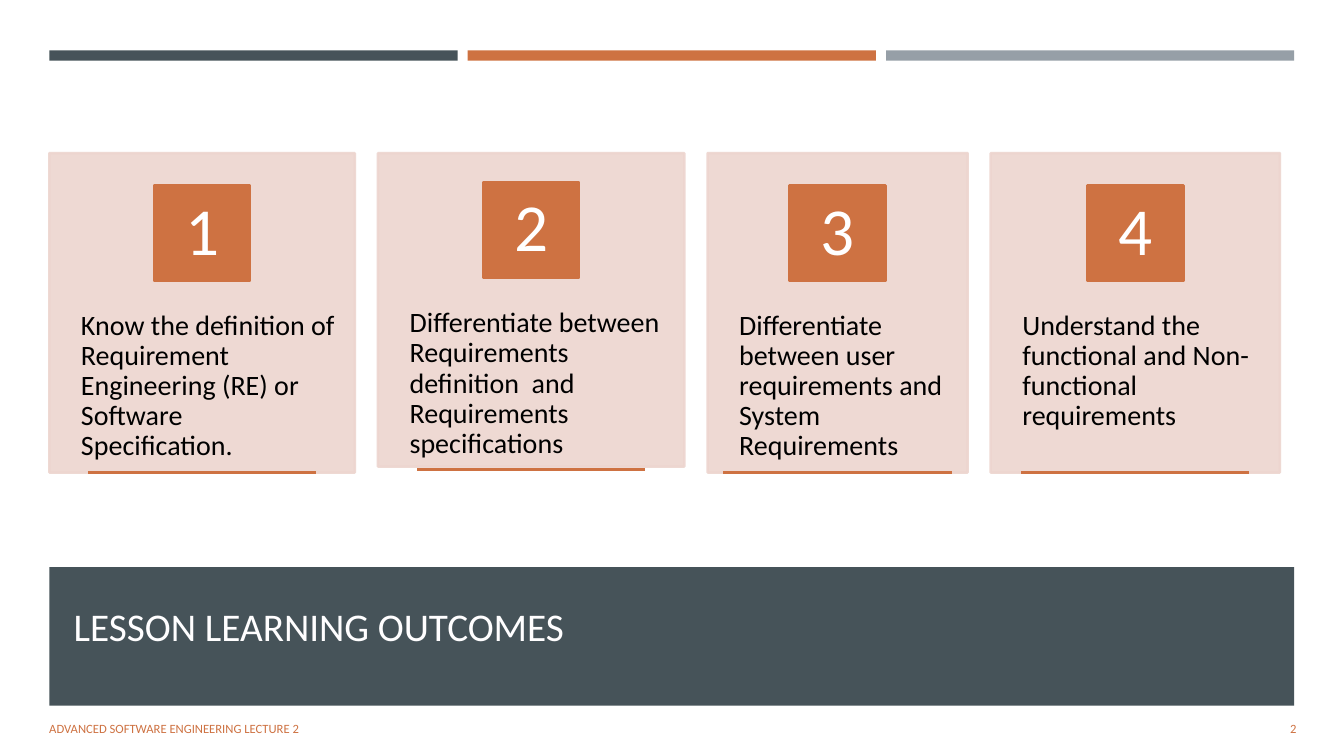
from lxml.etree import SubElement
from pptx import Presentation
from pptx.dml.color import RGBColor
from pptx.enum.shapes import MSO_CONNECTOR, MSO_SHAPE
from pptx.enum.text import MSO_ANCHOR, PP_ALIGN
from pptx.oxml.ns import qn
from pptx.util import Pt

SLATE = RGBColor(0x46, 0x53, 0x59)
ORANGE = RGBColor(0xCE, 0x72, 0x42)
GREY = RGBColor(0x96, 0x9F, 0xA7)
BLUSH = RGBColor(0xED, 0xD5, 0xCF)
OFF_WHITE = RGBColor(0xFF, 0xFE, 0xFF)
WHITE = RGBColor(0xFF, 0xFF, 0xFF)
BLACK = RGBColor(0, 0, 0)

FONT = "Calibri"
LEFT, WIDTH = 35.3, 889.2
CARD_GAP = 16.5
OUTLINE = 1.75

# Text, card width, card height, distance from card top to number badge
OUTCOMES = [
    ("Know the definition of Requirement Engineering (RE) or Software Specification.",
     218.2, 228.2, 23),
    ("Differentiate between Requirements definition  and Requirements specifications",
     218.9, 223.9, 20.6),
    ("Differentiate between user requirements and System Requirements",
     185.8, 228.2, 23),
    ("Understand the functional and Non-functional requirements",
     206.6, 228.2, 23),
]


def add_block(slide, left, top, width, height, color, outlined=False):
    block = slide.shapes.add_shape(MSO_SHAPE.RECTANGLE, Pt(left), Pt(top), Pt(width), Pt(height))
    block.shadow.inherit = False
    block.fill.solid()
    block.fill.fore_color.rgb = color
    if outlined:
        block.line.color.rgb = color
        block.line.width = Pt(OUTLINE)
    else:
        block.line.fill.background()
    return block


def make_translucent(block, percent):
    for color in block._element.spPr.iter(qn("a:srgbClr")):
        SubElement(color, qn("a:alpha"), val=str(percent * 1000))


def write(shape, text, size, color, align=PP_ALIGN.LEFT, anchor=MSO_ANCHOR.MIDDLE,
          insets=(7.2, 3.6, 7.2, 3.6), line_spacing=1.0, space_after=0):
    frame = shape.text_frame
    frame.word_wrap = True
    frame.vertical_anchor = anchor
    frame.margin_left, frame.margin_top, frame.margin_right, frame.margin_bottom = map(Pt, insets)
    paragraph = frame.paragraphs[0]
    paragraph.alignment = align
    paragraph.line_spacing = line_spacing
    paragraph.space_after = Pt(space_after)
    run = paragraph.add_run()
    run.text = text
    run.font.name = FONT
    run.font.size = Pt(size)
    run.font.color.rgb = color


def add_text(slide, left, top, width, height, *content, **style):
    box = slide.shapes.add_textbox(Pt(left), Pt(top), Pt(width), Pt(height))
    write(box, *content, **style)


def add_top_bars(slide, left, top, width, gap=7.2):
    bar_width = (width - 2 * gap) / 3
    for index, color in enumerate((SLATE, ORANGE, GREY)):
        add_block(slide, left + index * (bar_width + gap), top, bar_width, 7.4, color)


def add_outcome_card(slide, left, top, width, height, number, outcome, badge_offset):
    card = add_block(slide, left, top, width, height, BLUSH, outlined=True)
    make_translucent(card, 90)
    add_text(slide, left, top + 0.38 * height, width, 0.6 * height, outcome, 20, BLACK,
             anchor=MSO_ANCHOR.TOP, insets=(22.6, 25.9, 13, 25.9),
             line_spacing=0.9, space_after=7)

    # Number badge
    badge_size = 68.5
    badge_top = top + badge_offset
    badge = add_block(slide, left + (width - badge_size) / 2, badge_top,
                      badge_size, badge_size, ORANGE, outlined=True)
    write(badge, str(number), 48, WHITE, align=PP_ALIGN.CENTER,
          insets=(5, 0.7, 5, 0.7), line_spacing=0.9, space_after=16.8)

    # Rule along the foot of the card
    rule_width = 163
    rule_left = left + (width - rule_width) / 2
    rule_top = badge_top + 205.2
    rule = slide.shapes.add_connector(MSO_CONNECTOR.STRAIGHT, Pt(rule_left), Pt(rule_top),
                                      Pt(rule_left + rule_width), Pt(rule_top))
    rule.line.color.rgb = ORANGE
    rule.line.width = Pt(OUTLINE)
    SubElement(rule._element.spPr, qn("a:effectLst"))


def add_outcome_row(slide, left, top):
    for number, (outcome, width, height, badge_offset) in enumerate(OUTCOMES, 1):
        add_outcome_card(slide, left, top, width, height, number, outcome, badge_offset)
        left += width + CARD_GAP


def add_title_band(slide, left, top, width, height):
    add_block(slide, left, top, width, height, SLATE)
    add_text(slide, left + 10.3, top + 4.2, width - 20.6, height - 23.6,
             "LESSON LEARNING OUTCOMES", 28, OFF_WHITE)


def add_footer(slide, left, top, width, height):
    number_width = 83
    add_text(slide, left, top, 544, height,
             "ADVANCED SOFTWARE ENGINEERING LECTURE 2", 9, ORANGE, space_after=6)
    add_text(slide, left + width - number_width, top, number_width, height,
             "2", 9, ORANGE, align=PP_ALIGN.RIGHT, space_after=6)


def main():
    presentation = Presentation()
    presentation.slide_width, presentation.slide_height = Pt(960), Pt(540)
    slide = presentation.slides.add_slide(presentation.slide_layouts[6])
    add_title_band(slide, LEFT, 405, WIDTH, 99)
    add_top_bars(slide, LEFT, 36, WIDTH)
    add_footer(slide, 28.1, 506.2, 905, 28.8)
    add_outcome_row(slide, LEFT, 109.4)
    presentation.save("out.pptx")


if __name__ == "__main__":
    main()
